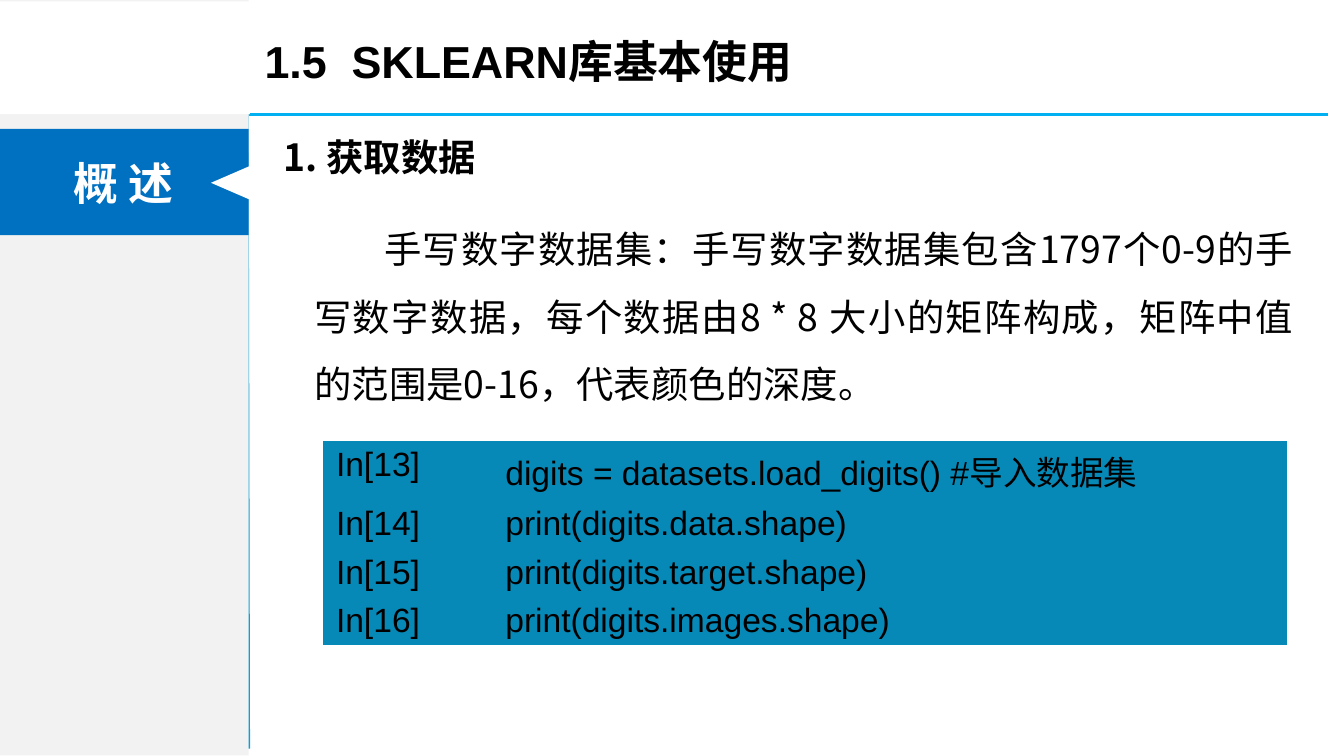
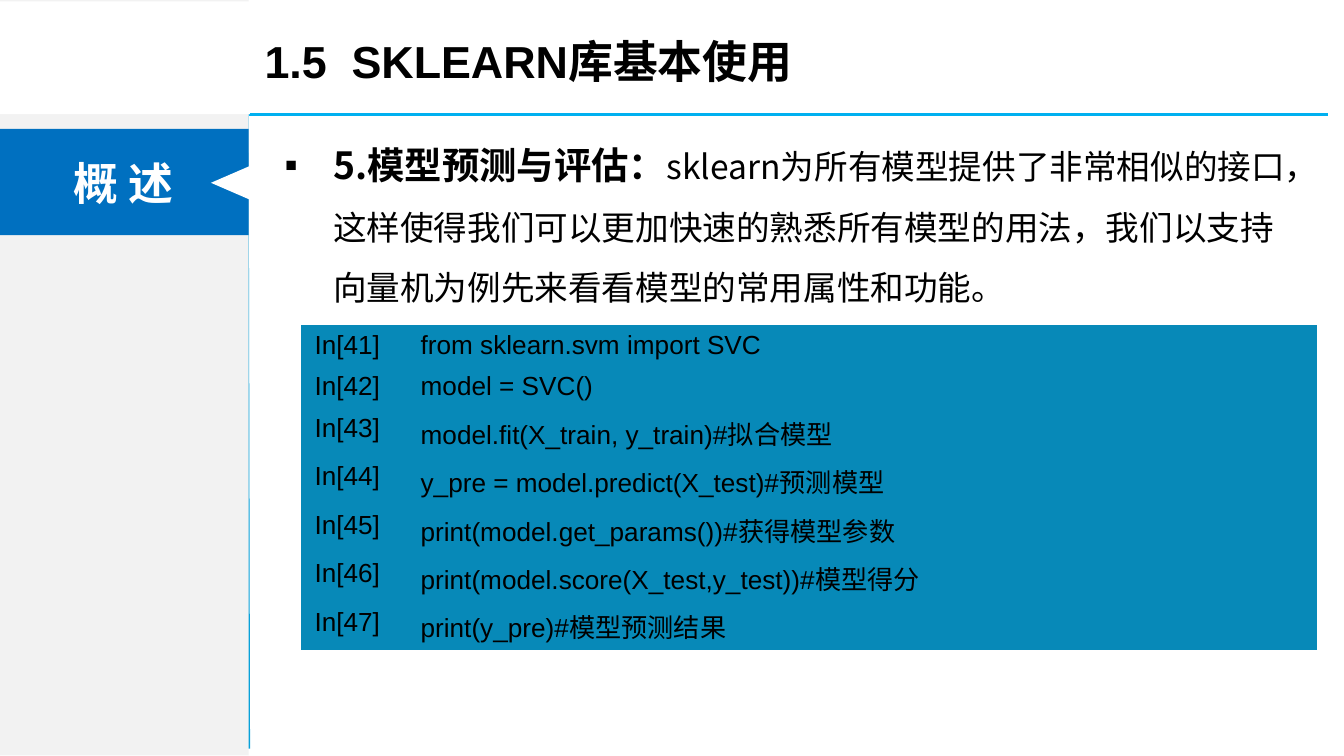
from dataclasses import dataclass

from lxml import etree
from pptx import Presentation
from pptx.dml.color import RGBColor
from pptx.enum import shapes, text
from pptx.oxml import ns
from pptx.util import Pt

PX = 9144  # EMU in one px; 100 px make an inch


@dataclass(frozen=True)
class Theme:
    ink: str = "000000"
    paper: str = "FFFFFF"
    side: str = "F2F2F2"
    tab: str = "0070C0"
    edge: str = "08A1D9"
    rule: str = "00B0F0"
    code: str = "0789B8"
    latin: str = "Arial"
    cjk: str = "Noto Sans CJK SC"
    title: int = 24
    head: int = 20
    body: int = 18
    small: int = 14
    line: float = 1.5
    space: float = 1.5


@dataclass(frozen=True)
class Box:
    left: int
    top: int
    width: int
    height: int

    def emu(self) -> list[int]:
        return [n * PX for n in (self.left, self.top, self.width, self.height)]


@dataclass(frozen=True)
class Panel:
    box: Box
    fill: str
    kind: int = shapes.MSO_SHAPE.RECTANGLE
    turn: int = 0
    label: str = ""


@dataclass(frozen=True)
class Rule:
    start: tuple[int, int]
    end: tuple[int, int]
    color: str


@dataclass(frozen=True)
class Code:
    """A listing numbered from first; lines with a remark are tall."""
    box: Box
    cols: tuple[int, int]
    low: int
    tall: int
    size: int
    first: int
    lines: tuple[str, ...]


T = Theme()
TITLE = "1.5  SKLEARN库基本使用"
TITLE_BOX = Box(187, 0, 816, 84)
EDGE = Rule((184, 85), (185, 557), T.edge)
RULE = Rule((185, 85), (988, 85), T.rule)
SIDE = Panel(Box(0, 0, 185, 562), T.side)
PANELS = (
    Panel(Box(0, 1, 186, 84), T.paper),
    Panel(Box(-1, 96, 186, 79), T.tab, label="概 述"),
    Panel(Box(159, 121, 26, 30), T.paper,
          shapes.MSO_SHAPE.ISOSCELES_TRIANGLE, 270),
)

LOAD = Code(Box(240, 328, 718, 150), (126, 592), 36, 44, T.body, 13, (
    "digits = datasets.load_digits() #导入数据集",
    "print(digits.data.shape)",
    "print(digits.target.shape)",
    "print(digits.images.shape)",
))
MODEL = Code(Box(224, 242, 756, 216), (79, 677), 31, 36, T.small, 41, (
    "from sklearn.svm import SVC",
    "model = SVC()",
    "model.fit(X_train, y_train)#拟合模型",
    "y_pre = model.predict(X_test)#预测模型",
    "print(model.get_params())#获得模型参数",
    "print(model.score(X_test,y_test))#模型得分",
    "print(y_pre)#模型预测结果",
))


def color(code: str) -> RGBColor:
    return RGBColor.from_string(code)


def write(para, words: str, *, size: int, font: str = T.cjk,
          ink: str = T.ink, bold: bool = False) -> None:
    """Add one run with its format."""
    run = para.add_run()
    run.text = words
    run.font.size = Pt(size)
    run.font.bold = bold
    run.font.color.rgb = color(ink)
    run.font.name = font
    east = etree.SubElement(run._r.get_or_add_rPr(), ns.qn("a:ea"))
    east.set("typeface", T.cjk)


def note(slide, box: Box, *, left: int = 10, space: float = T.space,
         align=text.PP_ALIGN.LEFT):
    """Add a text box and return its first paragraph."""
    frame = slide.shapes.add_textbox(*box.emu()).text_frame
    frame.word_wrap = True
    frame.margin_left = left * PX
    para = frame.paragraphs[0]
    para.line_spacing = space
    para.alignment = align
    return para


def indent(para, first: int, left: int = 0, mark: str = "") -> None:
    props = para._p.get_or_add_pPr()
    props.set("marL", str(left * PX))
    props.set("indent", str(first * PX))
    if mark:
        tint = etree.SubElement(props, ns.qn("a:buClr"))
        etree.SubElement(tint, ns.qn("a:srgbClr")).set("val", T.ink)
        etree.SubElement(props, ns.qn("a:buFont")).set("typeface", T.latin)
        etree.SubElement(props, ns.qn("a:buChar")).set("char", mark)


def panel(slide, item: Panel) -> None:
    shape = slide.shapes.add_shape(item.kind, *item.box.emu())
    shape.shadow.inherit = False
    shape.fill.solid()
    shape.fill.fore_color.rgb = color(item.fill)
    shape.line.fill.background()
    shape.rotation = item.turn
    if item.label:
        frame = shape.text_frame
        frame.vertical_anchor = text.MSO_ANCHOR.MIDDLE
        para = frame.paragraphs[0]
        para.alignment = text.PP_ALIGN.CENTER
        write(para, item.label, size=T.title, ink=T.paper, bold=True)


def rule(slide, item: Rule) -> None:
    ends = [n * PX for n in item.start + item.end]
    line = slide.shapes.add_connector(shapes.MSO_CONNECTOR.STRAIGHT, *ends)
    line.line.color.rgb = color(item.color)
    line.line.width = Pt(T.line)
    etree.SubElement(line._element.spPr, ns.qn("a:effectLst"))


def listing(slide, code: Code) -> None:
    table = slide.shapes.add_table(
        len(code.lines), len(code.cols), *code.box.emu()).table
    table.first_row = table.horz_banding = False
    style = table._tbl.tblPr.find(ns.qn("a:tableStyleId"))
    style.text = "{2D5ABB26-0587-4C30-8999-92F81FD0307C}"  # no style, no grid
    for col, width in zip(table.columns, code.cols):
        col.width = width * PX
    for i, (row, line) in enumerate(zip(table.rows, code.lines)):
        row.height = (code.tall if "#" in line else code.low) * PX
        for cell, words in zip(row.cells, (f"In[{code.first + i}]", line)):
            cell.fill.solid()
            cell.fill.fore_color.rgb = color(T.code)
            cell.margin_left = cell.margin_right = 10 * PX
            cell.margin_top, cell.margin_bottom = 4 * PX, 2 * PX
            write(cell.text_frame.paragraphs[0], words,
                  size=code.size, font=T.latin)


def start(deck):
    """Add a slide with the shared side bar, rules and title."""
    slide = deck.slides.add_slide(deck.slide_layouts[6])
    rule(slide, EDGE)
    panel(slide, SIDE)
    rule(slide, RULE)
    for item in PANELS:
        panel(slide, item)
    write(note(slide, TITLE_BOX), TITLE,
          size=T.title, font=T.latin, bold=True)
    return slide


def data(deck) -> None:
    slide = start(deck)
    para = note(slide, Box(224, 147, 748, 165), align=text.PP_ALIGN.JUSTIFY)
    indent(para, 52)
    write(para, "手写数字数据集：手写数字数据集包含1797个0-9的手写数字数据，"
          "每个数据由8 * 8 大小的矩阵构成，矩阵中值的范围是0-16，"
          "代表颜色的深度。", size=T.head)
    listing(slide, LOAD)
    head = note(slide, Box(195, 95, 785, 52), left=16, space=1.0)
    write(head, "1. 获取数据", size=T.head, bold=True)


def predict(deck) -> None:
    slide = start(deck)
    para = note(slide, Box(187, 84, 793, 157))
    indent(para, -36, 51, "▪")
    write(para, "5.模型预测与评估：", size=T.head, bold=True)
    write(para, "sklearn为所有模型提供了非常相似的接口，这样使得我们可以"
          "更加快速的熟悉所有模型的用法，我们以支持向量机为例先来看看"
          "模型的常用属性和功能。", size=T.body)
    listing(slide, MODEL)


def main() -> None:
    deck = Presentation()
    deck.slide_width = 1000 * PX
    deck.slide_height = deck.slide_width * 9 // 16
    data(deck)
    predict(deck)
    deck.save("out.pptx")


if __name__ == "__main__":
    main()
